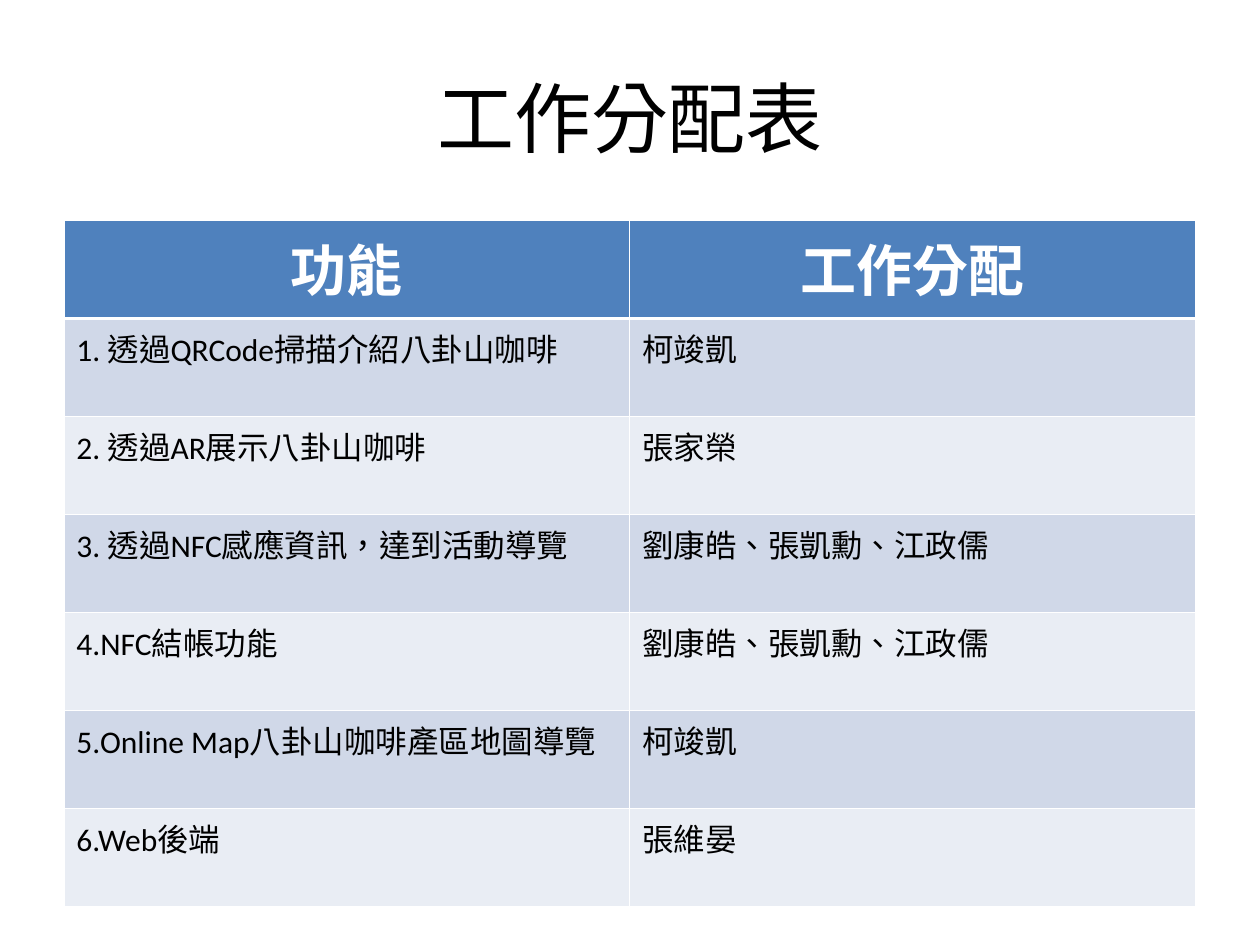
from dataclasses import dataclass

from lxml.etree import SubElement
from pptx import Presentation
from pptx.dml.color import RGBColor
from pptx.enum.lang import MSO_LANGUAGE_ID
from pptx.enum.text import MSO_ANCHOR, PP_ALIGN
from pptx.oxml.ns import qn
from pptx.util import Pt


@dataclass(frozen=True)
class Theme:
    font: str = "Calibri"
    ink: str = "000000"
    white: str = "FFFFFF"
    header: str = "4F81BD"
    bands: tuple = ("D0D8E8", "E9EDF4")
    title_size: int = 44
    header_size: int = 32
    body_size: int = 18
    thin: float = 0.45
    thick: float = 1.47


theme = Theme()


def write(paragraph, text, size, color, align, bold=False):
    paragraph.alignment = align
    run = paragraph.add_run()
    run.text = text
    run.font.name = theme.font
    run.font.size = Pt(size)
    run.font.bold = bold
    run.font.color.rgb = RGBColor.from_string(color)
    run.font.language_id = MSO_LANGUAGE_ID.TRADITIONAL_CHINESE


def add_border(cell, side, width):
    line = SubElement(cell._tc.get_or_add_tcPr(), qn(f"a:{side}"), w=str(Pt(width)))
    fill = SubElement(line, qn("a:solidFill"))
    SubElement(fill, qn("a:srgbClr"), val=theme.white)


assignments = [
    ("功能", "工作分配"),
    ("1. 透過QRCode掃描介紹八卦山咖啡", "柯竣凱"),
    ("2. 透過AR展示八卦山咖啡", "張家榮"),
    ("3. 透過NFC感應資訊，達到活動導覽", "劉康皓、張凱勳、江政儒"),
    ("4.NFC結帳功能", "劉康皓、張凱勳、江政儒"),
    ("5.Online Map八卦山咖啡產區地圖導覽", "柯竣凱"),
    ("6.Web後端", "張維晏"),
]

presentation = Presentation()
presentation.slide_width, presentation.slide_height = Pt(720), Pt(540)
slide = presentation.slides.add_slide(presentation.slide_layouts[5])

# Title
title = slide.shapes.title
title.left, title.top, title.width, title.height = Pt(36), Pt(21.6), Pt(648), Pt(90)
title.text_frame.vertical_anchor = MSO_ANCHOR.MIDDLE
write(title.text_frame.paragraphs[0], "工作分配表", theme.title_size, theme.ink,
      PP_ALIGN.CENTER)

# Table of functions and the people in charge
column_width, row_height = 323.3, 56
table = slide.shapes.add_table(
    len(assignments), 2, Pt(36.5), Pt(126), Pt(2 * column_width),
    Pt(len(assignments) * row_height)).table
for column in table.columns:
    column.width = Pt(column_width)

for row_index, assignment in enumerate(assignments):
    table.rows[row_index].height = Pt(row_height)
    is_header = row_index == 0
    for column_index, text in enumerate(assignment):
        cell = table.cell(row_index, column_index)

        # White rules, heavier below the header
        add_border(cell, "lnL", theme.thin)
        add_border(cell, "lnR", theme.thin)
        add_border(cell, "lnT", theme.thick if row_index == 1 else theme.thin)
        add_border(cell, "lnB", theme.thick if is_header else theme.thin)

        # Header or alternating band
        band = theme.header if is_header else theme.bands[(row_index - 1) % 2]
        cell.fill.solid()
        cell.fill.fore_color.rgb = RGBColor.from_string(band)

        paragraph = cell.text_frame.paragraphs[0]
        if is_header:
            write(paragraph, text, theme.header_size, theme.white, PP_ALIGN.CENTER, True)
        else:
            write(paragraph, text, theme.body_size, theme.ink, PP_ALIGN.LEFT)

presentation.save("out.pptx")
